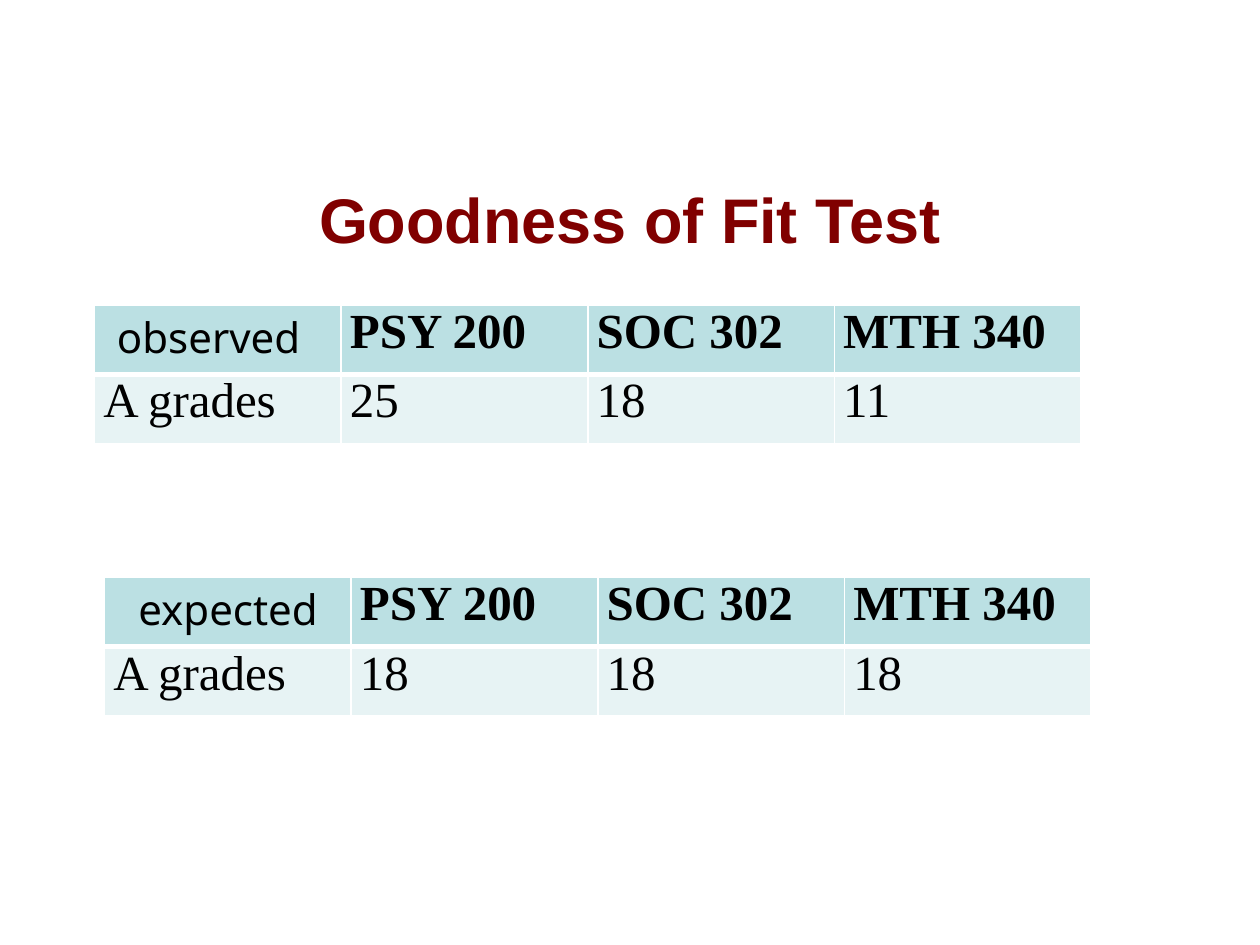
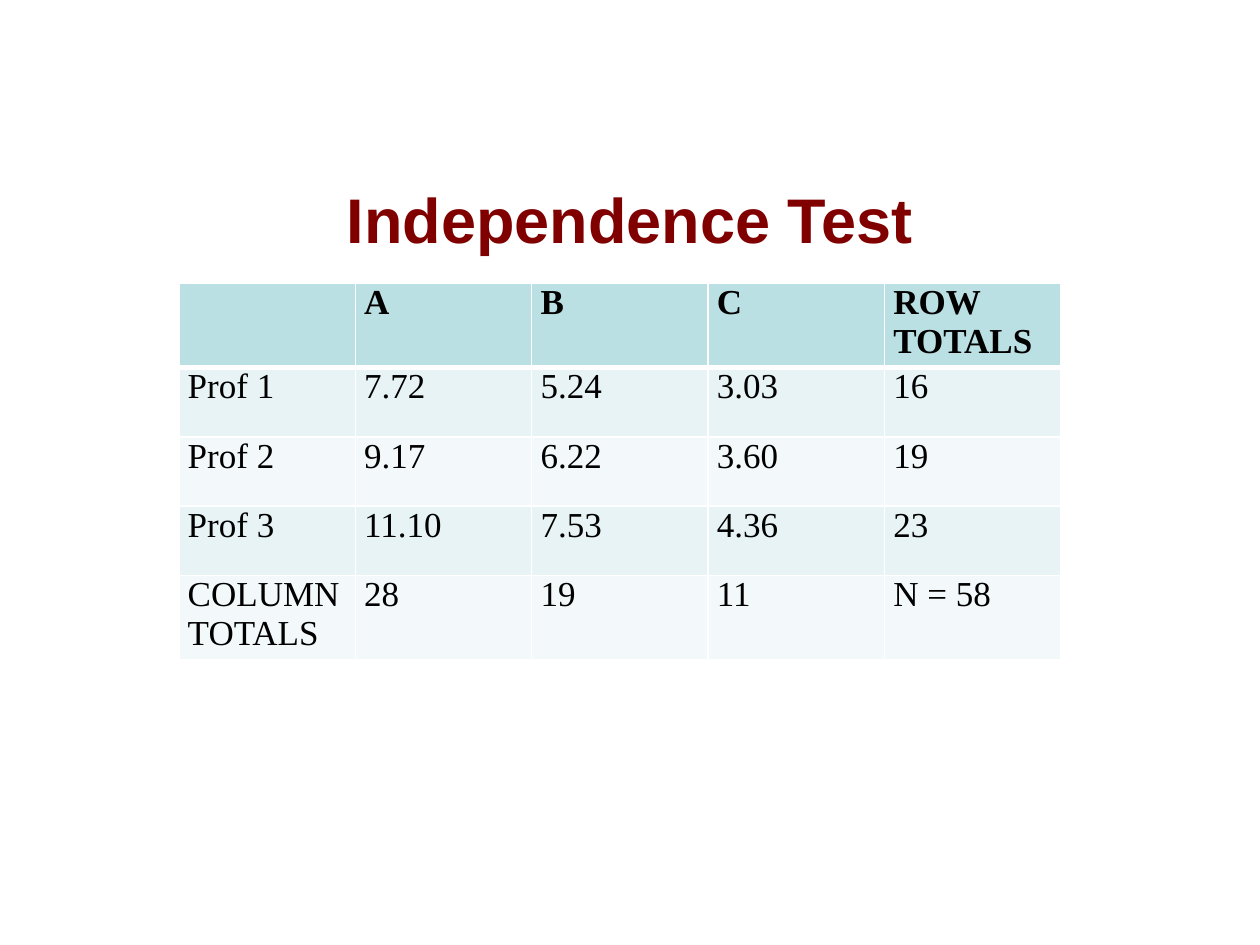
from lxml.etree import SubElement
from pptx import Presentation
from pptx.dml.color import RGBColor
from pptx.enum.text import MSO_AUTO_SIZE, PP_ALIGN
from pptx.oxml.ns import qn
from pptx.util import Inches, Pt

# Shared style
MAROON, BLACK, WHITE = "800000", "000000", "FFFFFF"
HEADER_FILL = "BBE0E3"
BAND_FILLS = ["E7F3F4", "F3F9FA"]
TITLE_FONT, TABLE_FONT, LABEL_FONT = "Arial", "Times New Roman", "Noto Sans"
ROW_HEIGHT = 0.55

# Table contents
COURSES = ["", "PSY 200", "SOC 302", "MTH 340"]
OBSERVED = [COURSES, ["A grades", "25", "18", "11"]]
EXPECTED = [COURSES, ["A grades", "18", "18", "18"]]
GRADES_BY_PROF = [
    ["", "A", "B", "C", "ROW TOTALS"],
    ["Prof 1", "7.72", "5.24", "3.03", "16"],
    ["Prof 2", "9.17", "6.22", "3.60", "19"],
    ["Prof 3", "11.10", "7.53", "4.36", "23"],
    ["COLUMN TOTALS", "28", "19", "11", "N = 58"],
]


def rgb(color):
    return RGBColor.from_string(color)


def set_text(tf, text, font, size, color=BLACK, bold=False):
    p = tf.paragraphs[0]
    p.text = text
    for r in p.runs:
        r.font.name = font
        r.font.size = Pt(size)
        r.font.bold = bold
        r.font.color.rgb = rgb(color)
    return p


def add_title(s, text):
    sp = s.shapes.add_textbox(Inches(0.75), Inches(1.33), Inches(8.5), Inches(0.58))
    tf = sp.text_frame
    tf.word_wrap = True
    tf.margin_top = Inches(0.1)
    set_text(tf, text, TITLE_FONT, 36, MAROON, True).alignment = PP_ALIGN.CENTER


def add_label(s, text, left, top):
    sp = s.shapes.add_textbox(Inches(left), Inches(top), Inches(1.69), Inches(0.5))
    tf = sp.text_frame
    tf.word_wrap = False
    tf.auto_size = MSO_AUTO_SIZE.SHAPE_TO_FIT_TEXT
    set_text(tf, text, LABEL_FONT, 24)


def set_border(cell, side, width):
    tc_pr = cell._tc.get_or_add_tcPr()
    ln = SubElement(tc_pr, qn(f"a:ln{side}"), w=str(Pt(width)))
    fill = SubElement(ln, qn("a:solidFill"))
    SubElement(fill, qn("a:srgbClr"), val=WHITE)


def style_cell(cell, text, row, size):
    is_header = row == 0
    # The heavy rule under the header also serves as the top of the first band
    for side in "LRTB":
        if not (row == 1 and side == "T"):
            set_border(cell, side, 3 if is_header and side == "B" else 1)
    cell.fill.solid()
    cell.fill.fore_color.rgb = rgb(HEADER_FILL if is_header else BAND_FILLS[(row - 1) % 2])
    cell.margin_left = cell.margin_right = Inches(0.07)
    cell.margin_top = cell.margin_bottom = 0
    set_text(cell.text_frame, text, TABLE_FONT, size, bold=is_header)


def add_grid(s, rows, left, top, width, size):
    frame = s.shapes.add_table(len(rows), len(rows[0]), Inches(left), Inches(top),
                               Inches(width), Inches(ROW_HEIGHT * len(rows)))
    table = frame.table
    for i, values in enumerate(rows):
        table.rows[i].height = Inches(ROW_HEIGHT)
        for j, value in enumerate(values):
            style_cell(table.cell(i, j), value, i, size)


def add_slide(prs, title):
    s = prs.slides.add_slide(prs.slide_layouts[6])
    add_title(s, title)
    return s


def main():
    prs = Presentation()
    prs.slide_width, prs.slide_height = Inches(10), Inches(7.5)

    # Goodness of fit: observed and expected counts
    s = add_slide(prs, "Goodness of Fit Test")
    add_grid(s, OBSERVED, 0.75, 2.42, 7.83, 28)
    add_grid(s, EXPECTED, 0.83, 4.58, 7.83, 28)
    add_label(s, "observed", 0.83, 2.42)
    add_label(s, "expected", 1, 4.58)

    # Independence: grades by professor
    s = add_slide(prs, "Independence Test")
    add_grid(s, GRADES_BY_PROF, 1.42, 2.25, 7, 20)

    prs.save("out.pptx")


if __name__ == "__main__":
    main()
